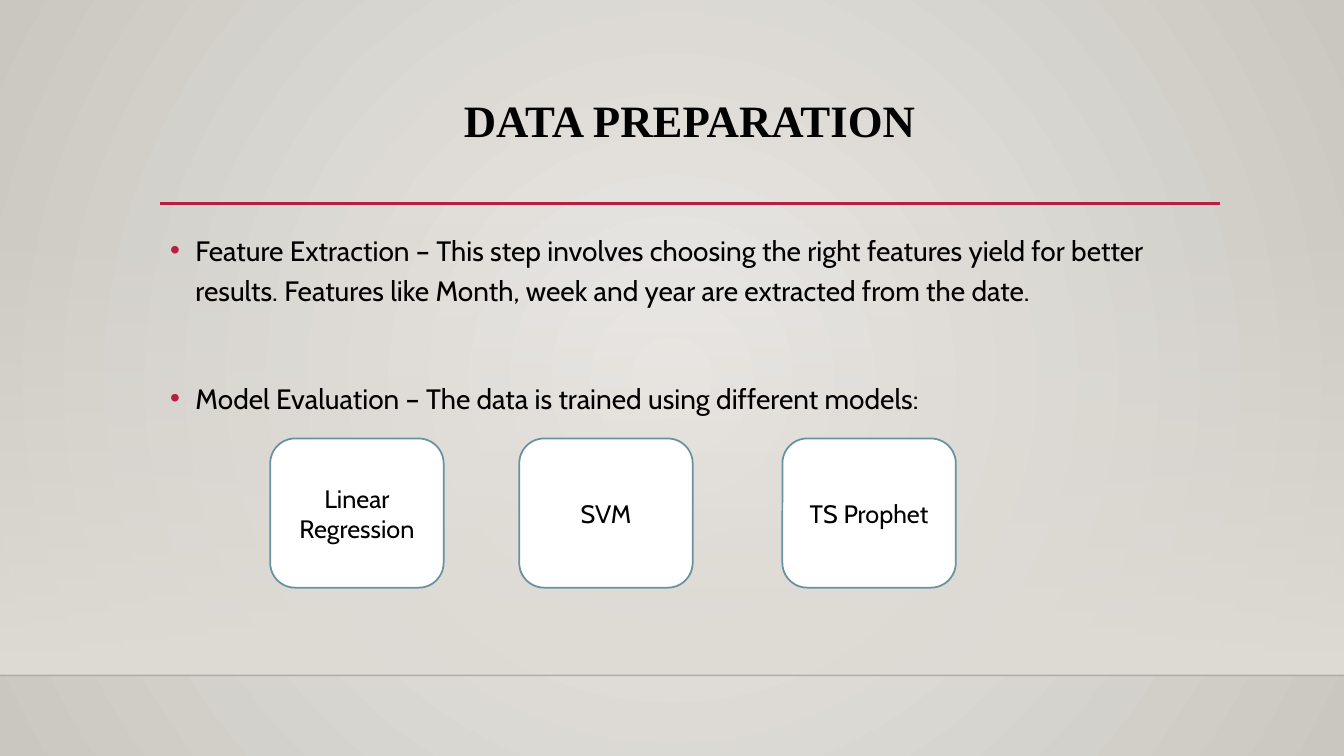
from lxml.etree import SubElement
from pptx import Presentation
from pptx.dml.color import RGBColor
from pptx.enum.shapes import MSO_CONNECTOR as Link, MSO_SHAPE as Kind
from pptx.enum.text import MSO_ANCHOR as Anchor, PP_ALIGN as Align
from pptx.oxml.ns import qn
from pptx.util import Inches, Pt

TITLE = "DATA PREPARATION"
POINTS = [
    ("Feature Extraction – This step involves choosing the right features "
     "yield for better results. Features like Month, week and year are "
     "extracted from the date.", 10),
    ("Model Evaluation – The data is trained using different models:", 48),
]
MODELS = [("Linear Regression", 2.68), ("SVM", 5.15), ("TS Prophet", 7.76)]

WIDE, HIGH = 13.33, 7.5
LEFT, SPAN = 1.59, 10.5
FLOOR = 6.7
CARD = {"top": 4.35, "wide": 1.72, "high": 1.48}
COLORS = {"glow": "ECEAE7", "edge": "CAC7C1", "wall": "DFDBD5",
          "rule": "B71E42", "floor": "000001", "card": "FFFFFF",
          "rim": "6892A0", "ink": "000000"}
FONTS = {
    "title": {"name": "Times New Roman", "size": Pt(32), "bold": True},
    "body": {"name": "Cabin", "size": Pt(20)},
    "card": {"name": "Cabin", "size": Pt(18)},
}


def rgb(name):
    return RGBColor.from_string(COLORS[name])


def add(parent, tag, **attrs):
    return SubElement(parent, qn(tag), attrs)


def shade(fill, *names):
    fill.gradient()
    for stop, name in zip(fill.gradient_stops, names):
        stop.color.rgb = rgb(name)


def fade(color, share):
    """Set the opacity of a colour element, in percent."""
    add(color, "a:alpha", val=str(share * 1000))


def write(para, text, style, align=Align.LEFT):
    run = para.add_run()
    run.text = text
    for key, value in FONTS[style].items():
        setattr(run.font, key, value)
    run.font.color.rgb = rgb("ink")
    para.alignment = align


def box(slide, top, high):
    frame = slide.shapes.add_textbox(
        Inches(LEFT), Inches(top), Inches(SPAN), Inches(high)).text_frame
    frame.word_wrap = True
    return frame


def rule(slide, start, end, y, color, width):
    line = slide.shapes.add_connector(
        Link.STRAIGHT, Inches(start), Inches(y), Inches(end), Inches(y))
    line.line.color.rgb = rgb(color)
    line.line.width = Pt(width)
    add(line.element.spPr, "a:effectLst")
    return line


def backdrop(slide):
    shade(slide.background.fill, "glow", "edge")
    grad = next(slide.element.iter(qn("a:gradFill")))
    grad.remove(grad.find(qn("a:lin")))
    path = add(grad, "a:path", path="circle")
    add(path, "a:fillToRect", **dict.fromkeys("ltrb", "50000"))

    top = 2.21
    wall = slide.shapes.add_shape(
        Kind.RECTANGLE, 0, Inches(top), Inches(WIDE), Inches(FLOOR - top))
    wall.shadow.inherit = False
    wall.line.fill.background()
    shade(wall.fill, "wall", "wall")
    wall.fill.gradient_angle = 270
    fade(next(wall.element.spPr.iter(qn("a:srgbClr"))), 0)

    edge = rule(slide, 0, WIDE, FLOOR, "floor", 1)
    fade(next(edge.element.spPr.iter(qn("a:srgbClr"))), 20)
    rule(slide, LEFT, 12.1, 2.02, "rule", 2.5)


def bullet(para):
    props = para._p.get_or_add_pPr()
    props.set("marL", str(Inches(0.25)))
    props.set("indent", str(-Inches(0.25)))
    color = add(props, "a:buClr")
    add(color, "a:srgbClr", val=COLORS["rule"])
    add(props, "a:buFont", typeface="Arial")
    add(props, "a:buChar", char="•")


def card(slide, name, left):
    shape = slide.shapes.add_shape(
        Kind.ROUNDED_RECTANGLE, Inches(left), Inches(CARD["top"]),
        Inches(CARD["wide"]), Inches(CARD["high"]))
    shape.shadow.inherit = False
    shape.fill.solid()
    shape.fill.fore_color.rgb = rgb("card")
    shape.line.color.rgb = rgb("rim")
    shape.line.width = Pt(1.25)
    frame = shape.text_frame
    frame.word_wrap = True
    frame.vertical_anchor = Anchor.MIDDLE
    write(frame.paragraphs[0], name, "card", Align.CENTER)


def main():
    deck = Presentation()
    deck.slide_width, deck.slide_height = Inches(WIDE), Inches(HIGH)
    slide = deck.slides.add_slide(deck.slide_layouts[6])
    backdrop(slide)

    head = box(slide, 0.88, 1.15)
    head.margin_top = Inches(0.1)
    head.paragraphs[0].line_spacing = 0.9
    write(head.paragraphs[0], TITLE, "title", Align.CENTER)

    body = box(slide, 2.2, 3.77)
    for i, (text, gap) in enumerate(POINTS):
        para = body.add_paragraph() if i else body.paragraphs[0]
        para.line_spacing = 1.2
        para.space_before = Pt(gap)
        bullet(para)
        write(para, text, "body")

    for name, left in MODELS:
        card(slide, name, left)
    deck.save("out.pptx")


if __name__ == "__main__":
    main()
